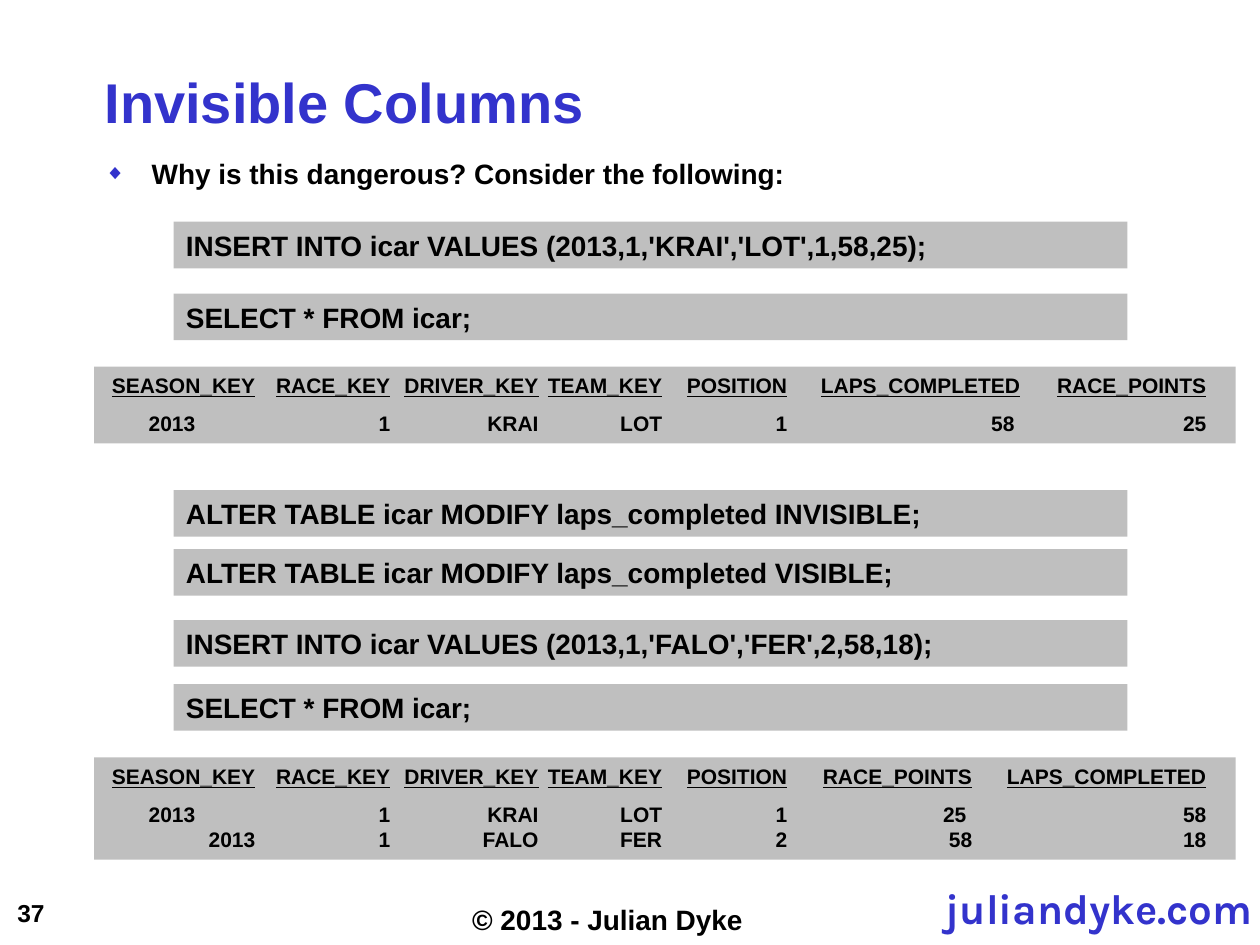
import dataclasses

import lxml.etree
import pptx
import pptx.dml.color
import pptx.enum.shapes
import pptx.enum.text
import pptx.oxml.ns
import pptx.util

Cm = pptx.util.Cm
Pt = pptx.util.Pt
Anchor = pptx.enum.text.MSO_ANCHOR
Align = pptx.enum.text.PP_ALIGN


@dataclasses.dataclass(frozen=True)
class Theme:
    accent: str = "3333CC"
    ink: str = "000000"
    panel: str = "BFBFBF"
    font: str = "Arial"
    site_font: str = "Karla"
    title: int = 32
    site: int = 24
    body: int = 16
    number: int = 14
    result: int = 12


def apply_format(target, values):
    for name, value in values.items():
        setattr(target, name, value)


def add_element(parent, tag, **attributes):
    element = lxml.etree.SubElement(parent, pptx.oxml.ns.qn(tag))
    for name, value in attributes.items():
        element.set(name, str(value))
    return element


class SlideBuilder:
    def __init__(self, page, theme):
        self.page = page
        self.theme = theme

    def add_span(self, para, text, size, color=None, font=None, underline=False):
        span = para.add_run()
        span.text = text
        apply_format(span.font, {
            "name": font or self.theme.font,
            "size": Pt(size),
            "bold": True,
            "underline": underline,
        })
        span.font.color.rgb = pptx.dml.color.RGBColor.from_string(color or self.theme.ink)

    def set_frame(self, box, margins=(0.25, 0.13, 0.25, 0.13), anchor=Anchor.TOP, wrap=True):
        left, top, right, bottom = margins
        frame = box.text_frame
        apply_format(frame, {
            "margin_left": Cm(left),
            "margin_top": Cm(top),
            "margin_right": Cm(right),
            "margin_bottom": Cm(bottom),
            "vertical_anchor": anchor,
            "word_wrap": wrap,
        })
        return frame

    def add_text(self, place, text, size, color=None, font=None, para_format=None, **frame_format):
        box = self.page.shapes.add_textbox(*map(Cm, place))
        para = self.set_frame(box, **frame_format).paragraphs[0]
        apply_format(para, para_format or {})
        self.add_span(para, text, size, color, font)
        return para

    def add_bullet(self, place, text):
        para = self.add_text(place, text, self.theme.body, margins=(0, 0, 0.25, 0.13))
        properties = para._p.get_or_add_pPr()
        indent = Cm(0.95)
        properties.set("marL", str(indent))
        properties.set("indent", str(-indent))
        add_element(add_element(properties, "a:buClr"), "a:srgbClr", val=self.theme.accent)
        add_element(properties, "a:buSzPct", val=75000)
        add_element(properties, "a:buFont", typeface=self.theme.font)
        add_element(properties, "a:buChar", char="◆")

    def add_panel(self, place):
        panel = self.page.shapes.add_shape(
            pptx.enum.shapes.MSO_SHAPE.RECTANGLE, *map(Cm, place))
        panel.shadow.inherit = False
        panel.fill.solid()
        panel.fill.fore_color.rgb = pptx.dml.color.RGBColor.from_string(self.theme.panel)
        panel.line.fill.background()
        return self.set_frame(panel)

    def add_code(self, top, text):
        para = self.add_panel((3.5, top, 19.23, 0.94)).paragraphs[0]
        para.alignment = Align.LEFT
        self.add_span(para, text, self.theme.body)

    def add_result(self, top, height, stops, rows):
        frame = self.add_panel((1.9, top, 23.01, height))
        for index, row in enumerate(rows):
            para = frame.paragraphs[0] if index == 0 else frame.add_paragraph()
            apply_format(para, {"alignment": Align.LEFT, "space_before": Pt(7 if index == 1 else 0)})
            first_stop = 1.79 if index == 1 else stops[0]
            tabs = add_element(para._p.get_or_add_pPr(), "a:tabLst")
            for stop in (first_stop, *stops[1:]):
                add_element(tabs, "a:tab", pos=Cm(stop), algn="r")
            for cell in row:
                self.add_span(para, "\t", self.theme.result)
                self.add_span(para, cell, self.theme.result, underline=index == 0)


def main():
    deck = pptx.Presentation()
    deck.slide_width, deck.slide_height = Cm(25.4), Cm(19.05)
    theme = Theme()
    builder = SlideBuilder(deck.slides.add_slide(deck.slide_layouts[6]), theme)

    builder.add_text((18.49, 17.93, 6.81, 0.91), "juliandyke.com", theme.site,
                     theme.accent, theme.site_font,
                     {"alignment": Align.RIGHT, "line_spacing": 0.8},
                     margins=(0.05, 0.05, 0.05, 0.05), wrap=False)
    builder.add_text((0.1, 17.98, 1.07, 0.84), "37", theme.number,
                     anchor=Anchor.MIDDLE, wrap=False)
    builder.add_text((9.27, 18.14, 6.22, 0.79), "© 2013 - Julian Dyke", theme.body,
                     margins=(0.25, 0.05, 0.25, 0.05))
    builder.add_text((2.11, 0.2, 22.23, 2.51), "Invisible Columns", theme.title, theme.accent,
                     margins=(0, 0.13, 0, 0), anchor=Anchor.BOTTOM)
    builder.add_bullet((2.11, 3.15, 22.23, 1.35), "Why is this dangerous? Consider the following:")

    statements = (
        (4.47, "INSERT INTO icar VALUES (2013,1,'KRAI','LOT',1,58,25);"),
        (5.92, "SELECT * FROM icar;"),
        (9.88, "ALTER TABLE icar MODIFY laps_completed INVISIBLE;"),
        (11.07, "ALTER TABLE icar MODIFY laps_completed VISIBLE;"),
        (12.5, "INSERT INTO icar VALUES (2013,1,'FALO','FER',2,58,18);"),
        (13.79, "SELECT * FROM icar;"),
    )
    for top, text in statements:
        builder.add_code(top, text)

    shared_stops = (3, 5.72, 8.71, 11.2, 13.72)
    shared_heads = ("SEASON_KEY", "RACE_KEY", "DRIVER_KEY", "TEAM_KEY", "POSITION")
    first_entry = ("2013", "1", "KRAI", "LOT", "1")
    builder.add_result(7.39, 1.55, (*shared_stops, 18.42, 22.17), (
        (*shared_heads, "LAPS_COMPLETED", "RACE_POINTS"),
        (*first_entry, "58 ", "25"),
    ))
    builder.add_result(15.27, 2.06, (*shared_stops, 17.45, 22.17), (
        (*shared_heads, "RACE_POINTS", "LAPS_COMPLETED"),
        (*first_entry, "25 ", "58"),
        ("2013", "1", "FALO", "FER", "2", "58", "18"),
    ))

    deck.save("out.pptx")


if __name__ == "__main__":
    main()
